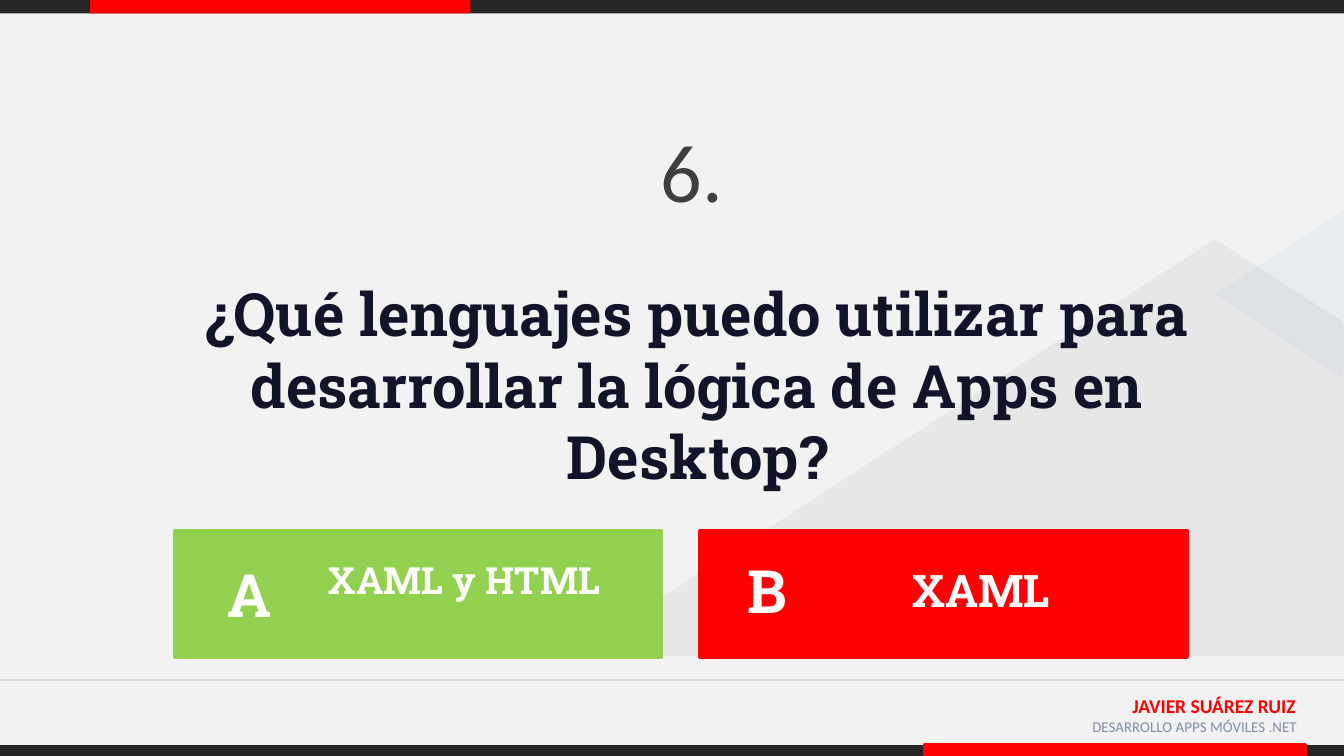
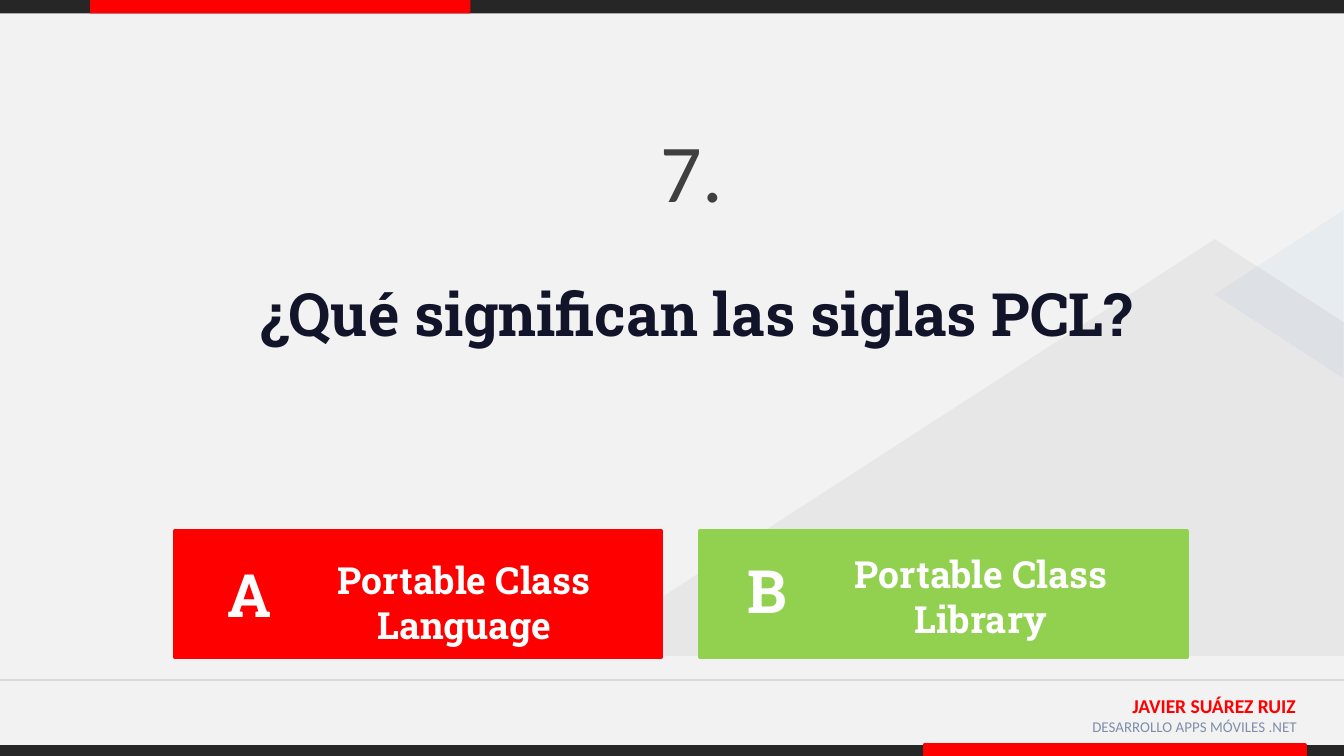
from lxml import etree
from pptx import Presentation
from pptx import util as u
from pptx.dml.color import RGBColor
from pptx.enum import shapes, text
from pptx.oxml import ns

PX = 4572  # EMU in one px, 200 px to the inch
WIDTH, HEIGHT = 2000, 1125
COLORS = {
    "paper": "F2F2F2", "dark": "262626", "red": "FF0000", "green": "92D050",
    "blue": "297FD5", "rule": "D9D9D9", "slate": "7F8FA9", "ink": "121429",
    "number": "3F3F3F", "white": "FFFFFF",
}
RGB = {name: RGBColor.from_string(value) for name, value in COLORS.items()}
BODY, SLAB = "Calibri", "Roboto Slab"


def paint(shape, color, outline=0, opacity=100):
    """Fill a shape, with an outline in the same colour if it has a width."""
    shape.shadow.inherit = False
    shape.fill.solid()
    shape.fill.fore_color.rgb = RGB[color]
    if outline:
        shape.line.color.rgb = RGB[color]
        shape.line.width = u.Pt(outline)
    else:
        shape.line.fill.background()
    if opacity < 100:
        tint = shape._element.spPr.find(".//" + ns.qn("a:srgbClr"))
        etree.SubElement(tint, ns.qn("a:alpha"), val=str(opacity * 1000))


def write(page, place, words, size, color, font=SLAB, bold=True,
          align="CENTER", anchor="TOP", grow=True):
    box = page.shapes.add_textbox(*[n * PX for n in place])
    frame = box.text_frame
    fit = text.MSO_AUTO_SIZE
    settings = {
        "word_wrap": True,
        "auto_size": fit.SHAPE_TO_FIT_TEXT if grow else fit.NONE,
        "vertical_anchor": text.MSO_ANCHOR[anchor],
    }
    for name, value in settings.items():
        setattr(frame, name, value)
    para = frame.paragraphs[0]
    para.alignment = text.PP_ALIGN[align]
    span = para.add_run()
    span.text = words
    for name, value in {"name": font, "size": u.Pt(size), "bold": bold}.items():
        setattr(span.font, name, value)
    span.font.color.rgb = RGB[color]


BARS = [
    # left, top, width, height, colour, outline
    (0, 0, WIDTH, 20, "dark", 0),
    (134, 0, 566, 20, "red", 0),
    (0, 1109, WIDTH, 16, "dark", 0),
    (1376, 1109, 566, 16, "red", 2),
]
FOOTER = [
    ((1586, 1023, 362, 62), "JAVIER SUÁREZ RUIZ", 10.5, "red", True),
    ((1544, 1058, 406, 62), "DESARROLLO APPS MÓVILES .NET", 8, "slate", False),
]
RULE_TOP = 1012
MOUNTAIN = [(2000, 976), (2000, 480), (1808, 356), (850, 976)]
ANSWER_LEFTS = (260, 1042)
LETTERS = [("A", (292, 820, 160, 128)), ("B", (1062, 814, 160, 128))]

# Each answer: colour, place of its words, words, size
QUESTIONS = [
    {
        "number": "6.",
        "question": "¿Qué lenguajes puedo utilizar para desarrollar la lógica "
                    "de Apps en Desktop?",
        "height": 344,
        "answers": [
            ("green", (430, 820, 522, 88), "XAML y HTML", 20),
            ("red", (1180, 828, 560, 100), "XAML", 24),
        ],
    },
    {
        "number": "7.",
        "question": "¿Qué significan las siglas PCL?",
        "height": 128,
        "answers": [
            ("red", (430, 820, 522, 154), "Portable Class Language", 20),
            ("green", (1180, 810, 560, 154), "Portable Class Library", 20),
        ],
    },
]

deck = Presentation()
deck.slide_width, deck.slide_height = WIDTH * PX, HEIGHT * PX
backdrop = deck.slide_master.background.fill
backdrop.solid()
backdrop.fore_color.rgb = RGB["paper"]

for item in QUESTIONS:
    page = deck.slides.add_slide(deck.slide_layouts[6])

    # Bands, footer and background mountains
    for *place, color, outline in BARS:
        bar = page.shapes.add_shape(shapes.MSO_SHAPE.RECTANGLE, *[n * PX for n in place])
        paint(bar, color, outline)
    for place, words, size, color, bold in FOOTER:
        write(page, place, words, size, color, BODY, bold, "RIGHT", grow=False)

    rule = page.shapes.add_connector(shapes.MSO_CONNECTOR.STRAIGHT,
                                     0, RULE_TOP * PX, WIDTH * PX, RULE_TOP * PX)
    rule.line.color.rgb = RGB["rule"]
    rule.line.width = u.Pt(0.75)
    etree.SubElement(rule._element.spPr, ns.qn("a:effectLst"))

    ridge = page.shapes.build_freeform(*MOUNTAIN[0], scale=PX)
    ridge.add_line_segments(MOUNTAIN[1:], close=True)
    paint(ridge.convert_to_shape(), "dark", opacity=5)
    peak = page.shapes.add_shape(shapes.MSO_SHAPE.ISOSCELES_TRIANGLE,
                                 1778 * PX, 342 * PX, 250 * PX, 192 * PX)
    peak.rotation = 270
    paint(peak, "blue", opacity=5)

    # Question
    write(page, (180, 402, 1716, item["height"]), item["question"], 32, "ink")
    write(page, (130, 158, 1800, 188), item["number"], 44, "number", BODY, False,
          anchor="MIDDLE", grow=False)

    # Answers
    for left, (color, *_) in zip(ANSWER_LEFTS, item["answers"]):
        card = page.shapes.add_shape(shapes.MSO_SHAPE.RECTANGLE,
                                     left * PX, 790 * PX, 724 * PX, 188 * PX)
        paint(card, color, outline=2)
    for letter, place in LETTERS:
        write(page, place, letter, 32, "white")
    for _, place, words, size in item["answers"]:
        write(page, place, words, size, "white")

deck.save("out.pptx")
